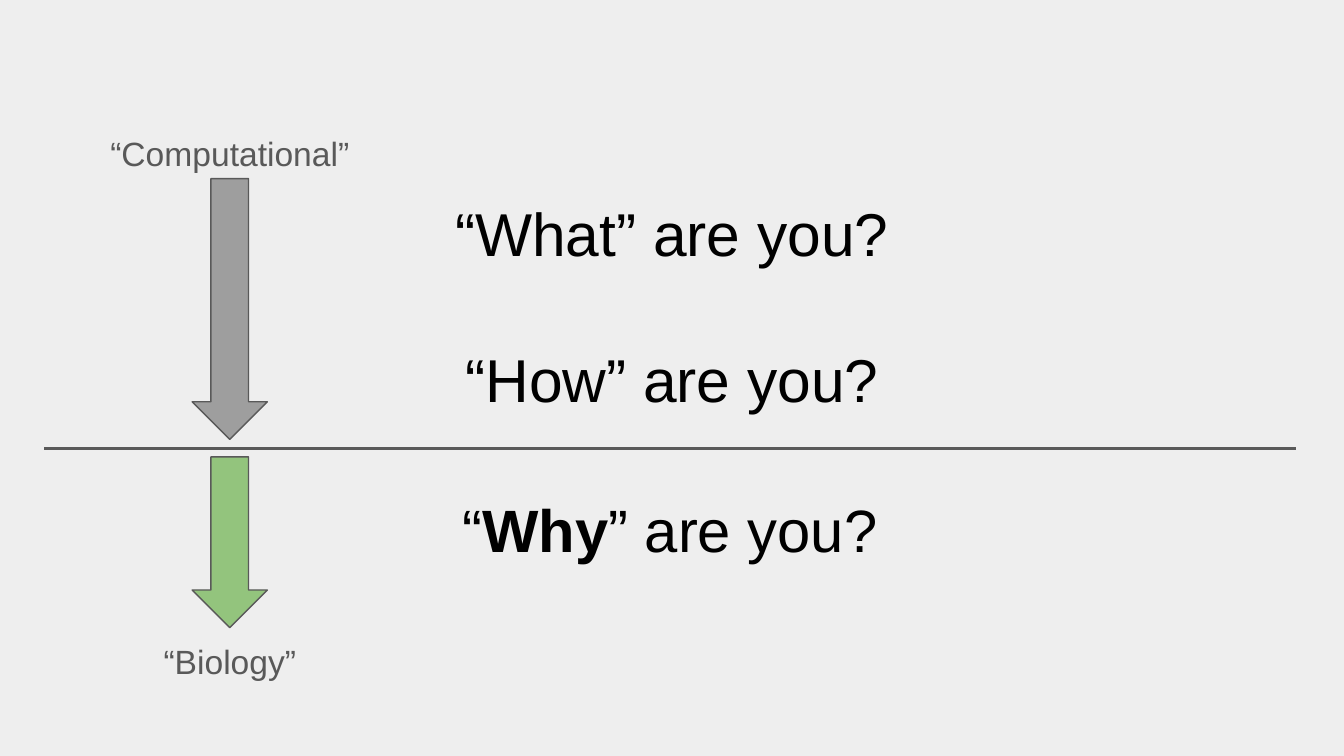
"""Build a slide placing three questions on a scale from computation to biology."""
from lxml import etree
from pptx import Presentation
from pptx.dml.color import RGBColor
from pptx.enum.shapes import MSO_CONNECTOR, MSO_SHAPE
from pptx.enum.text import MSO_ANCHOR, PP_ALIGN
from pptx.oxml.ns import qn
from pptx.util import Inches, Pt

BACKGROUND = RGBColor(0xEE, 0xEE, 0xEE)
BLACK = RGBColor(0x00, 0x00, 0x00)
DARK_GRAY = RGBColor(0x59, 0x59, 0x59)
GRAY = RGBColor(0x9E, 0x9E, 0x9E)
GREEN = RGBColor(0x93, 0xC4, 0x7D)


def set_frame(frame, top_inset):
    frame.word_wrap = True
    frame.vertical_anchor = MSO_ANCHOR.TOP
    frame.margin_left = frame.margin_right = frame.margin_bottom = Inches(0.1)
    frame.margin_top = Inches(top_inset)


def style_paragraph(paragraph, size, color):
    paragraph.alignment = PP_ALIGN.CENTER
    paragraph.font.name = "Arial"
    paragraph.font.size = Pt(size)
    paragraph.font.color.rgb = color


deck = Presentation()
deck.slide_width = Inches(10)
deck.slide_height = deck.slide_width * 9 // 16
page = deck.slides.add_slide(deck.slide_layouts[5])
page.background.fill.solid()
page.background.fill.fore_color.rgb = BACKGROUND

title = page.shapes.title
title.left, title.top = Inches(0.34), Inches(1.26)
title.width, title.height = Inches(9.32), Inches(3.11)
title.text_frame.text = "“What” are you?\n“How” are you?"
set_frame(title.text_frame, 0.2)
for paragraph in title.text_frame.paragraphs:
    style_paragraph(paragraph, 32.4, BLACK)
title.text_frame.paragraphs[1].space_before = Pt(39.5)

divider = page.shapes.add_connector(
    MSO_CONNECTOR.STRAIGHT, Inches(0.33), Inches(3.34), Inches(9.64), Inches(3.34)
)
divider.line.color.rgb = DARK_GRAY
divider.line.width = Pt(1.5)
etree.SubElement(divider._element.spPr, qn("a:effectLst"))

for top, height, color in [(1.33, 1.94, GRAY), (3.4, 1.27, GREEN)]:
    arrow = page.shapes.add_shape(
        MSO_SHAPE.DOWN_ARROW, Inches(1.43), Inches(top), Inches(0.56), Inches(height)
    )
    arrow.shadow.inherit = False
    arrow.fill.solid()
    arrow.fill.fore_color.rgb = color
    arrow.line.color.rgb = DARK_GRAY
    arrow.line.width = Pt(0.75)

for text, top in [("“Computational”", 0.89), ("“Biology”", 4.67)]:
    label = page.shapes.add_textbox(Inches(0.47), Inches(top), Inches(2.48), Inches(0.38))
    set_frame(label.text_frame, 0.1)
    label.text_frame.text = text
    style_paragraph(label.text_frame.paragraphs[0], 18, DARK_GRAY)

why_box = page.shapes.add_textbox(Inches(1.19), Inches(3.57), Inches(7.59), Inches(0.74))
set_frame(why_box.text_frame, 0.1)
why_line = why_box.text_frame.paragraphs[0]
for text, bold in [("“", False), ("Why", True), ("” are you?", False)]:
    span = why_line.add_run()
    span.text = text
    span.font.bold = bold
style_paragraph(why_line, 32, BLACK)

deck.save("out.pptx")
